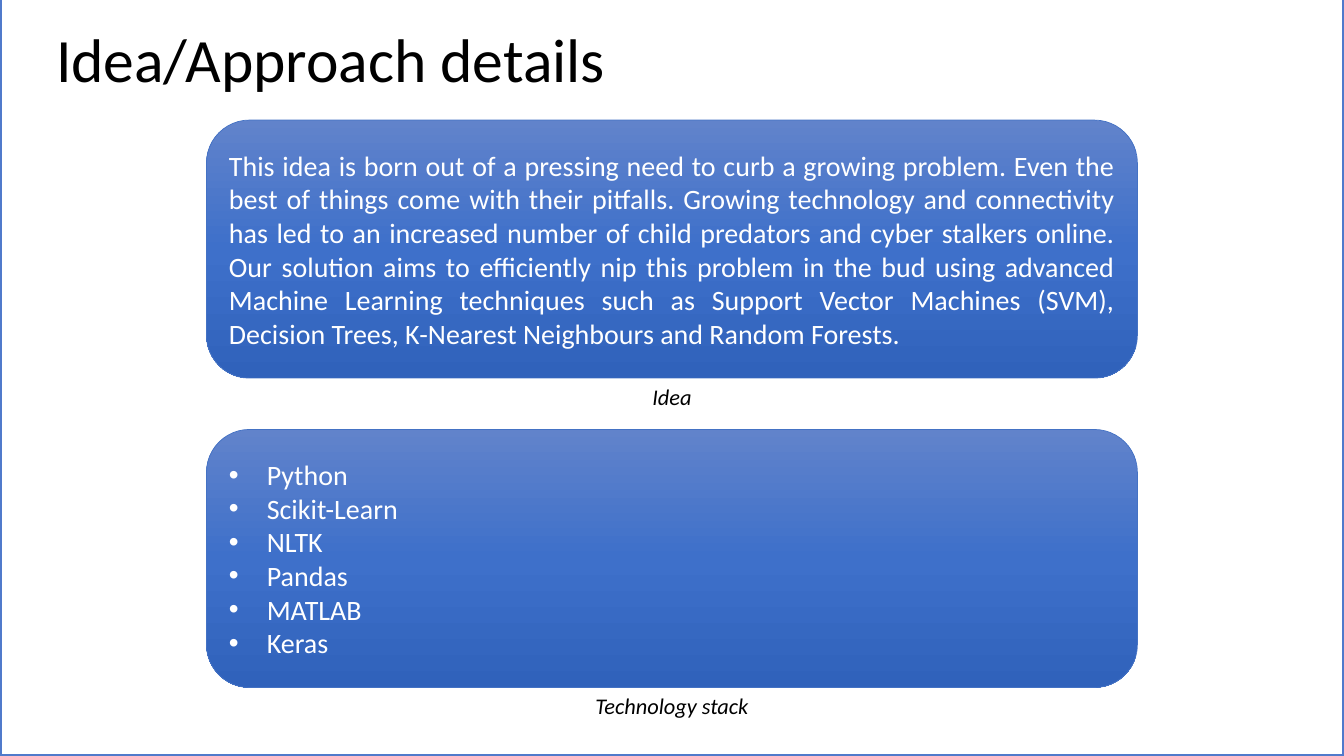
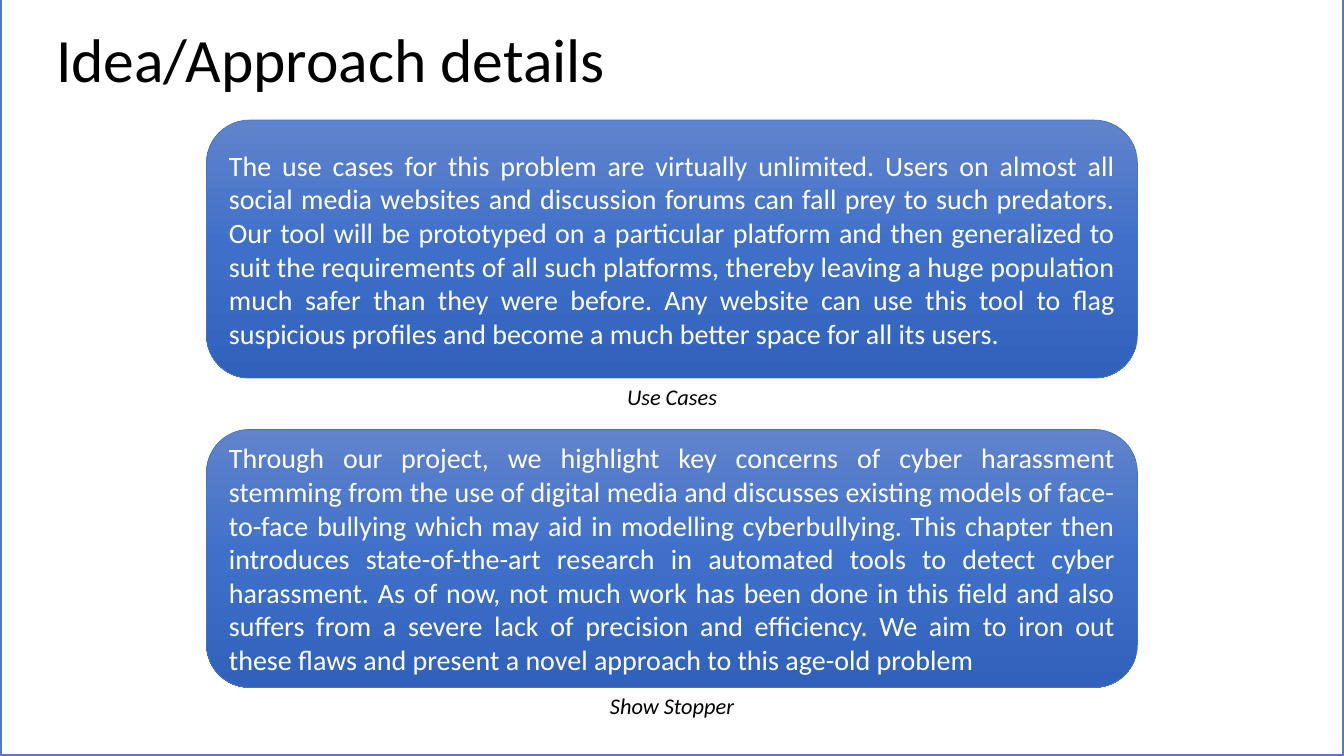
from dataclasses import dataclass

from copy import deepcopy
from lxml.etree import SubElement
from pptx import Presentation
from pptx.dml.color import RGBColor as RGB
from pptx.enum.shapes import MSO_SHAPE as SHAPE
from pptx.enum.text import MSO_ANCHOR as ANCHOR
from pptx.enum.text import MSO_AUTO_SIZE as AUTO_SIZE
from pptx.enum.text import PP_ALIGN as ALIGN
from pptx.oxml.ns import qn
from pptx.util import Pt

WIDTH, HEIGHT = 960, 540
CARD_W, CARD_H = 665, 184.3
CARD_TOP, CARD_PITCH = 85.8, 221
CAPTION_W, CAPTION_H = 306, 26.7
BULLET_INDENT = 27


@dataclass(frozen=True)
class Theme:
    font: str = "Calibri"
    bullet_font: str = "Arial"
    title_size: int = 44
    body_size: int = 20
    caption_size: int = 16
    paper: RGB = RGB.from_string("FFFFFF")
    ink: RGB = RGB.from_string("000000")
    frame: RGB = RGB.from_string("507ACB")
    card_line: RGB = RGB.from_string("4472C4")
    gradient: tuple = (
        (0, RGB.from_string("6183CB")),
        (0.5, RGB.from_string("3E70CA")),
        (1, RGB.from_string("3062BB")),
    )


class Deck:
    def __init__(self, theme):
        self.theme = theme
        self.prs = Presentation()
        self.prs.slide_width, self.prs.slide_height = Pt(WIDTH), Pt(HEIGHT)
        self.s = None

    def slide(self, title, cards):
        self.s = self.prs.slides.add_slide(self.prs.slide_layouts[6])
        self.frame()
        self.title(title)
        for i, (caption, lines) in enumerate(cards):
            top = CARD_TOP + i * CARD_PITCH
            self.card(top, lines)
            self.caption(top + CARD_H, caption)

    def shape(self, kind, x, y, w, h, line, weight):
        sp = self.s.shapes.add_shape(kind, Pt(x), Pt(y), Pt(w), Pt(h))
        sp.shadow.inherit = False
        sp.line.color.rgb = line
        sp.line.width = Pt(weight)
        return sp

    def text_box(self, x, y, w, h):
        tf = self.s.shapes.add_textbox(Pt(x), Pt(y), Pt(w), Pt(h)).text_frame
        tf.word_wrap = True
        return tf

    def set_text(self, tf, lines, size, color, align, italic=False, bullets=False):
        tf.text = "\n".join(lines)
        for p in tf.paragraphs:
            if bullets:
                self.bullet(p)
            p.alignment = align
            for r in p.runs:
                r.font.name = self.theme.font
                r.font.size = Pt(size)
                r.font.italic = italic
                r.font.color.rgb = color

    def bullet(self, p):
        pPr = p._p.get_or_add_pPr()
        pPr.set("marL", str(Pt(BULLET_INDENT)))
        pPr.set("indent", str(-Pt(BULLET_INDENT)))
        SubElement(pPr, qn("a:buFont")).set("typeface", self.theme.bullet_font)
        SubElement(pPr, qn("a:buChar")).set("char", "•")

    def frame(self):
        sp = self.shape(SHAPE.RECTANGLE, 0, -3, WIDTH, HEIGHT + 3, self.theme.frame, 3)
        sp.fill.solid()
        sp.fill.fore_color.rgb = self.theme.paper

    def title(self, text):
        tf = self.text_box(33, 0, 864, 90)
        tf.vertical_anchor = ANCHOR.MIDDLE
        self.set_text(tf, [text], self.theme.title_size, self.theme.ink, ALIGN.LEFT)
        tf.paragraphs[0].line_spacing = 0.9

    def card(self, top, lines):
        sp = self.shape(SHAPE.ROUNDED_RECTANGLE, (WIDTH - CARD_W) / 2, top,
                        CARD_W, CARD_H, self.theme.card_line, 0.5)
        self.shade(sp)
        tf = sp.text_frame
        tf.word_wrap = True
        tf.vertical_anchor = ANCHOR.MIDDLE
        self.set_text(tf, lines, self.theme.body_size, self.theme.paper,
                      ALIGN.JUSTIFY, bullets=len(lines) > 1)

    def shade(self, sp):
        sp.fill.gradient()
        sp.fill.gradient_angle = 270
        stops = sp._element.spPr.find(qn("a:gradFill")).find(qn("a:gsLst"))
        stops.append(deepcopy(stops[-1]))
        for stop, (position, color) in zip(sp.fill.gradient_stops, self.theme.gradient):
            stop.position = position
            stop.color.rgb = color

    def caption(self, top, text):
        tf = self.text_box((WIDTH - CAPTION_W) / 2, top, CAPTION_W, CAPTION_H)
        tf.auto_size = AUTO_SIZE.SHAPE_TO_FIT_TEXT
        self.set_text(tf, [text], self.theme.caption_size, self.theme.ink,
                      ALIGN.CENTER, italic=True)


IDEA = (
    "This idea is born out of a pressing need to curb a growing problem. "
    "Even the best of things come with their pitfalls. Growing technology and "
    "connectivity has led to an increased number of child predators and cyber "
    "stalkers online. Our solution aims to efficiently nip this problem in the "
    "bud using advanced Machine Learning techniques such as Support Vector "
    "Machines (SVM), Decision Trees, K-Nearest Neighbours and Random Forests."
)
STACK = ["Python", "Scikit-Learn", "NLTK", "Pandas", "MATLAB", "Keras"]
USE_CASES = (
    "The use cases for this problem are virtually unlimited. Users on almost all "
    "social media websites and discussion forums can fall prey to such predators. "
    "Our tool will be prototyped on a particular platform and then generalized to "
    "suit the requirements of all such platforms, thereby leaving a huge population "
    "much safer than they were before. Any website can use this tool to flag "
    "suspicious profiles and become a much better space for all its users."
)
SHOW_STOPPER = (
    "Through our project, we highlight key concerns of cyber harassment stemming "
    "from the use of digital media and discusses existing models of face-to-face "
    "bullying which may aid in modelling cyberbullying. This chapter then "
    "introduces state-of-the-art research in automated tools to detect cyber "
    "harassment. As of now, not much work has been done in this field and also "
    "suffers from a severe lack of precision and efficiency. We aim to iron out "
    "these flaws and present a novel approach to this age-old problem"
)
SLIDES = [
    [("Idea", [IDEA]), ("Technology stack", STACK)],
    [("Use Cases", [USE_CASES]), ("Show Stopper", [SHOW_STOPPER])],
]


def main():
    deck = Deck(Theme())
    for cards in SLIDES:
        deck.slide("Idea/Approach details", cards)
    deck.prs.save("out.pptx")


if __name__ == "__main__":
    main()
